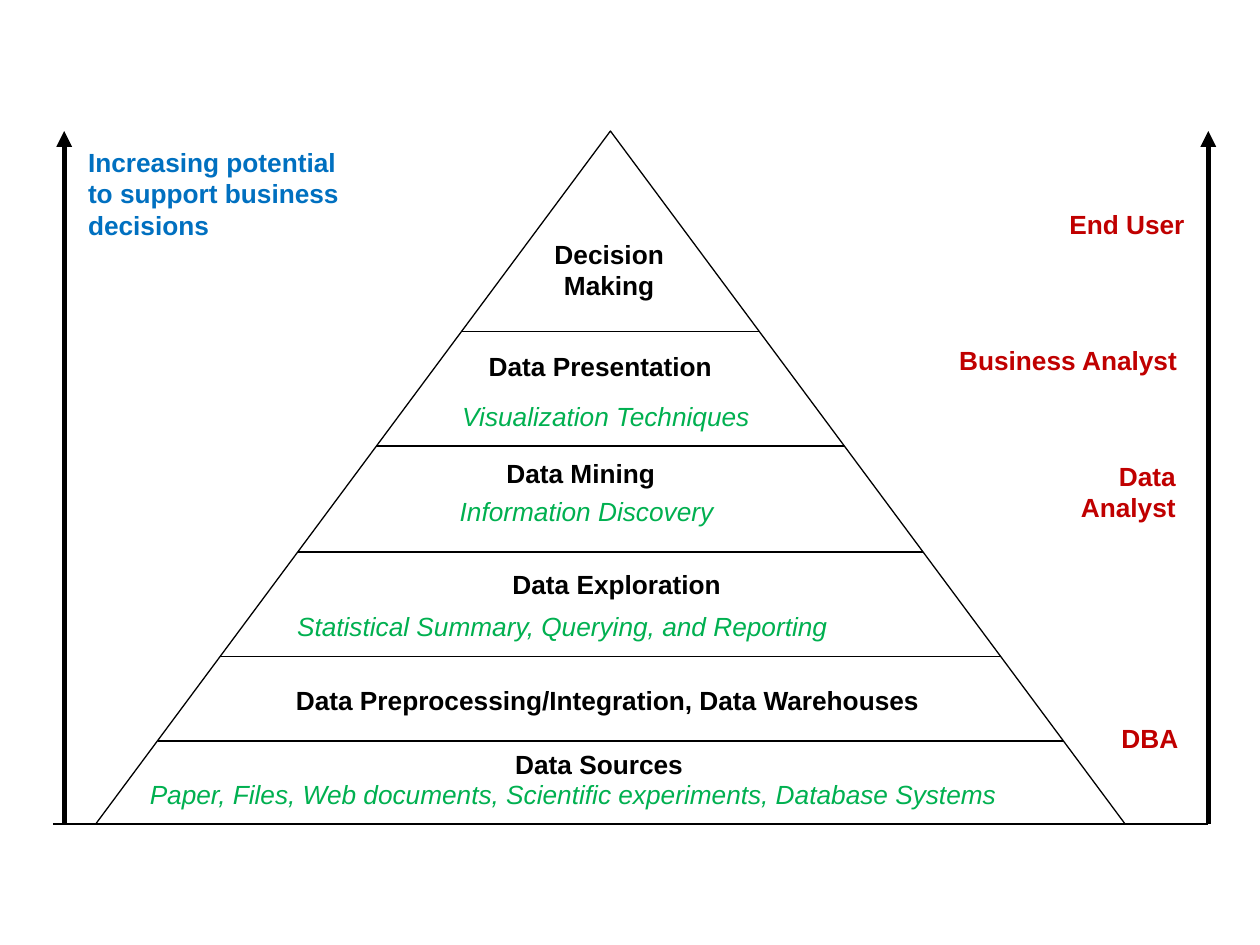
from pptx import Presentation
from pptx.util import Pt
from pptx.dml.color import RGBColor
from pptx.enum import shapes, text
from pptx.oxml import parse_xml
from pptx.oxml.ns import nsdecls

deck = Presentation()
deck.slide_width, deck.slide_height = Pt(720), Pt(540)
col = deck.slide_width / 100
row = deck.slide_height / 75
slide = deck.slides.add_slide(deck.slide_layouts[6])
hues = {"black": "000000", "blue": "0070C0", "red": "C00000", "green": "00B050"}
left, center, right = text.PP_ALIGN.LEFT, text.PP_ALIGN.CENTER, text.PP_ALIGN.RIGHT


def rule(x1, y1, x2, y2, width=0.75, arrow=False):
    line = slide.shapes.add_connector(
        shapes.MSO_CONNECTOR.STRAIGHT,
        round(x1 * col), round(y1 * row), round(x2 * col), round(y2 * row))
    line.line.color.rgb = RGBColor.from_string(hues["black"])
    line.line.width = Pt(width)
    if arrow:
        line.line._get_or_add_ln().append(
            parse_xml(f'<a:tailEnd {nsdecls("a")} type="triangle"/>'))
    line._element.spPr.append(parse_xml(f'<a:effectLst {nsdecls("a")}/>'))


def label(words, x, y, wide, hue, align=left, wrap=True, high=3.5):
    box = slide.shapes.add_textbox(
        round(x * col), round(y * row), round(wide * col), round(high * row))
    frame = box.text_frame
    frame.word_wrap = wrap
    frame.auto_size = text.MSO_AUTO_SIZE.SHAPE_TO_FIT_TEXT
    frame.text = words
    for para in frame.paragraphs:
        para.alignment = align
        font = para.font
        font.name, font.size = "Arial", Pt(15)
        font.bold, font.italic = hue != "green", hue == "green"
        font.color.rgb = RGBColor.from_string(hues[hue])


top, base, edge, span = 10.4, 65.4, 7.6, 81.7
tall, mid = base - top, edge + span / 2

cone = slide.shapes.add_shape(
    shapes.MSO_SHAPE.FLOWCHART_EXTRACT,
    round(edge * col), round(top * row), round(span * col), round(tall * row))
cone.shadow.inherit = False
cone.fill.background()
cone.line.color.rgb = RGBColor.from_string(hues["black"])
cone.line.width = Pt(0.75)

for y in (58.8, 52.1, 43.8, 35.4, 26.3):
    half = span / 2 * (y - top) / tall
    rule(mid - half, y, mid + half, y)

for x in (5.1, 95.9):
    rule(x, base, x, top, 3, True)
rule(4.2, base, 95.9, base)

label("Increasing potential\nto support business decisions", 6, 11.1, 26.5, "blue", high=8.6)

for words, x, y, wide in (
    ("End User", 83.7, 16, 11.3),
    ("Business Analyst", 66.7, 26.8, 27.7),
    ("Data Analyst", 79.8, 36, 14.5),
    ("DBA", 87.9, 56.8, 6.6),
):
    label(words, x, y, wide, "red", right, False)

label("Decision Making", 41.7, 18.4, 13.3, "black", center, high=6.1)
label("Data Exploration", 36.1, 44.6, 25.7, "black", center)

for words, x, y, wide, hue, wrap in (
    ("Data Presentation", 37.8, 27.3, 19.9, "black", False),
    ("Visualization Techniques", 35.7, 31.3, 25.1, "green", False),
    ("Data Mining", 39.2, 35.8, 19.5, "black", True),
    ("Information Discovery", 35.5, 38.8, 22.4, "green", False),
    ("Statistical Summary, Querying, and Reporting", 22.6, 47.9, 50, "green", True),
    ("Data Preprocessing/Integration, Data Warehouses", 22.5, 53.8, 52, "black", False),
    ("Data Sources", 39.9, 58.9, 15.5, "black", False),
    ("Paper, Files, Web documents, Scientific experiments, Database Systems",
     10.9, 61.3, 77.8, "green", True),
):
    label(words, x, y, wide, hue, wrap=wrap)

deck.save("out.pptx")
